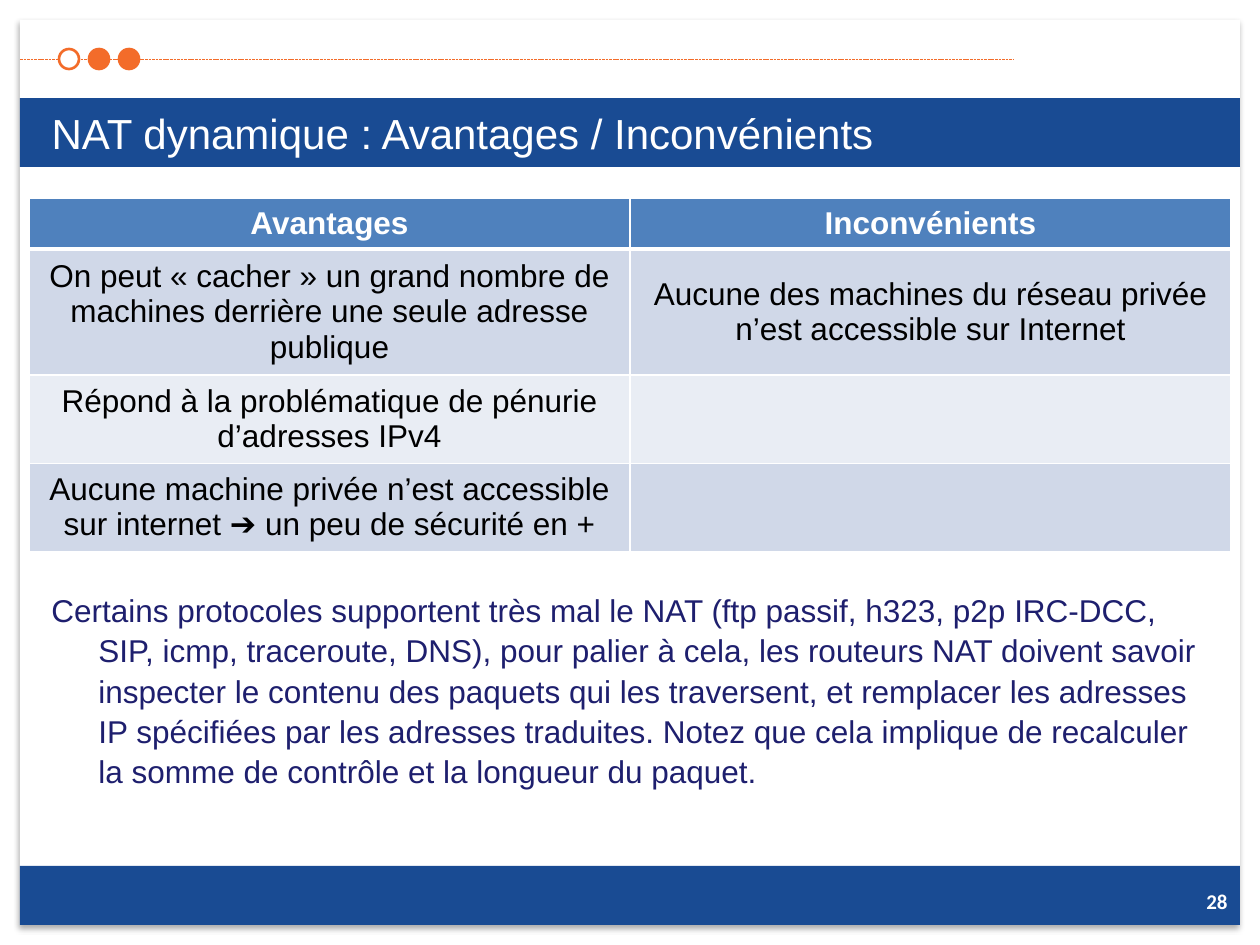
from dataclasses import dataclass

from lxml.etree import SubElement
from pptx import Presentation
from pptx.dml.color import RGBColor
from pptx.enum.dml import MSO_LINE
from pptx.enum.shapes import MSO_CONNECTOR, MSO_SHAPE
from pptx.enum.text import MSO_ANCHOR, PP_ALIGN
from pptx.oxml.ns import qn
from pptx.util import Emu, Pt

PX = 914400 // 126
WIDTH, HEIGHT = 1260, 945


@dataclass(frozen=True)
class Theme:
    white: str = "FFFFFF"
    black: str = "000000"
    navy: str = "194B93"
    orange: str = "F36C2A"
    header: str = "4F81BD"
    bands: tuple = ("D0D8E8", "E9EDF4")
    ink: str = "1E1F6E"
    font: str = "Arial"
    number_font: str = "Calibri"
    title_size: int = 24
    body_size: int = 18
    number_size: int = 12


def px(*lengths):
    return [Emu(length * PX) for length in lengths]


def add_node(parent, tag, **attributes):
    return SubElement(parent, qn(tag), {k: str(v) for k, v in attributes.items()})


class SlideBuilder:
    def __init__(self, slide, theme):
        self.slide, self.theme = slide, theme

    def set_text(self, frame, text, size, color, bold=False, font=None,
                 align=PP_ALIGN.LEFT, anchor=MSO_ANCHOR.MIDDLE):
        frame.word_wrap = True
        frame.vertical_anchor = anchor
        paragraph = frame.paragraphs[0]
        paragraph.text = text
        paragraph.alignment = align
        paragraph.font.size = Pt(size)
        paragraph.font.name = font or self.theme.font
        paragraph.font.bold = bold
        paragraph.font.color.rgb = RGBColor.from_string(color)
        return paragraph

    def shape(self, kind, box, fill, line=None):
        shape = self.slide.shapes.add_shape(kind, *px(*box))
        shape.shadow.inherit = False
        shape.fill.solid()
        shape.fill.fore_color.rgb = RGBColor.from_string(fill)
        if line:
            shape.line.color.rgb = RGBColor.from_string(line)
            shape.line.width = Pt(1.5)
        else:
            shape.line.fill.background()
        return shape

    def card(self, box):
        """White page panel with a soft shadow below it."""
        panel = self.shape(MSO_SHAPE.RECTANGLE, box, self.theme.white)
        effects = panel._element.spPr.find(qn("a:effectLst"))
        shadow = add_node(effects, "a:outerShdw", blurRad=Pt(3.5), dist=Pt(2.2),
                          dir=5400000, algn="ctr", rotWithShape=0)
        color = add_node(shadow, "a:srgbClr", val=self.theme.black)
        add_node(color, "a:alpha", val=32000)

    def dashed_line(self, left, right, y):
        line = self.slide.shapes.add_connector(
            MSO_CONNECTOR.STRAIGHT, *px(left, y, right, y))
        line.line.color.rgb = RGBColor.from_string(self.theme.orange)
        line.line.width = Pt(0.5)
        line.line.dash_style = MSO_LINE.SQUARE_DOT
        add_node(line._element.spPr, "a:effectLst")

    def title(self, text, box):
        title = self.slide.shapes.title
        title.left, title.top, title.width, title.height = px(*box)
        self.set_text(title.text_frame, text, self.theme.title_size, self.theme.white)
        # The placeholder comes first in the tree; bring it above the banner.
        self.slide.shapes._spTree.append(title._element)

    def text(self, text, box, size, color, **style):
        textbox = self.slide.shapes.add_textbox(*px(*box))
        return self.set_text(textbox.text_frame, text, size, color, **style)

    def cell_borders(self, cell, bottom):
        properties = cell._tc.get_or_add_tcPr()
        for side, width in (("L", 1), ("R", 1), ("T", 1), ("B", bottom)):
            border = add_node(properties, f"a:ln{side}", w=Pt(width))
            fill = add_node(border, "a:solidFill")
            add_node(fill, "a:srgbClr", val=self.theme.white)

    def table(self, rows, left, top, column_width, row_heights):
        theme = self.theme
        columns = len(rows[0])
        table = self.slide.shapes.add_table(
            len(rows), columns,
            *px(left, top, column_width * columns, sum(row_heights))).table
        for column in table.columns:
            column.width = Emu(column_width * PX)
        for r, (texts, height) in enumerate(zip(rows, row_heights)):
            table.rows[r].height = Emu(height * PX)
            is_header = r == 0
            fill = theme.header if is_header else theme.bands[(r - 1) % 2]
            for c, text in enumerate(texts):
                cell = table.cell(r, c)
                self.cell_borders(cell, 3 if is_header else 1)
                cell.fill.solid()
                cell.fill.fore_color.rgb = RGBColor.from_string(fill)
                cell.vertical_anchor = MSO_ANCHOR.MIDDLE
                if text:
                    self.set_text(cell.text_frame, text, theme.body_size,
                                  theme.white if is_header else theme.black,
                                  bold=is_header, align=PP_ALIGN.CENTER)


def main():
    theme = Theme()
    presentation = Presentation()
    presentation.slide_width, presentation.slide_height = px(WIDTH, HEIGHT)
    builder = SlideBuilder(
        presentation.slides.add_slide(presentation.slide_layouts[5]), theme)

    margin, panel_width = 20, 1220
    builder.card((margin, 20, panel_width, 905))
    builder.dashed_line(margin, 1014, 59)
    for top, height in ((866, 59), (98, 69)):
        builder.shape(MSO_SHAPE.RECTANGLE, (margin, top, panel_width, height),
                      theme.navy)
    for i, fill in enumerate((theme.white, theme.orange, theme.orange)):
        builder.shape(MSO_SHAPE.OVAL, (59 + 30 * i, 49, 20, 20), fill, theme.orange)

    builder.title("NAT dynamique : Avantages / Inconvénients", (39, 98, 1182, 69))
    builder.text("28", (1132, 876, 108, 50), theme.number_size, theme.white,
                 bold=True, font=theme.number_font, align=PP_ALIGN.RIGHT)

    builder.table(
        [("Avantages", "Inconvénients"),
         ("On peut « cacher » un grand nombre de machines derrière une seule "
          "adresse publique",
          "Aucune des machines du réseau privée n’est accessible sur Internet"),
         ("Répond à la problématique de pénurie d’adresses IPv4", ""),
         ("Aucune machine privée n’est accessible sur internet ➔ un peu de "
          "sécurité en +", "")],
        left=29, top=198, column_width=601, row_heights=(51, 118, 83, 83))

    remark = builder.text(
        "Certains protocoles supportent très mal le NAT (ftp passif, h323, p2p "
        "IRC-DCC, SIP, icmp, traceroute, DNS), pour palier à cela, les routeurs "
        "NAT doivent savoir inspecter le contenu des paquets qui les traversent, "
        "et remplacer les adresses IP spécifiées par les adresses traduites. "
        "Notez que cela implique de recalculer la somme de contrôle et la "
        "longueur du paquet.",
        (39, 582, 1182, 263), theme.body_size, theme.ink, anchor=MSO_ANCHOR.TOP)
    remark.line_spacing = 1.07
    hanging = 47 * PX
    indents = remark._p.get_or_add_pPr()
    indents.set("marL", str(hanging))
    indents.set("indent", str(-hanging))

    presentation.save("out.pptx")


if __name__ == "__main__":
    main()
